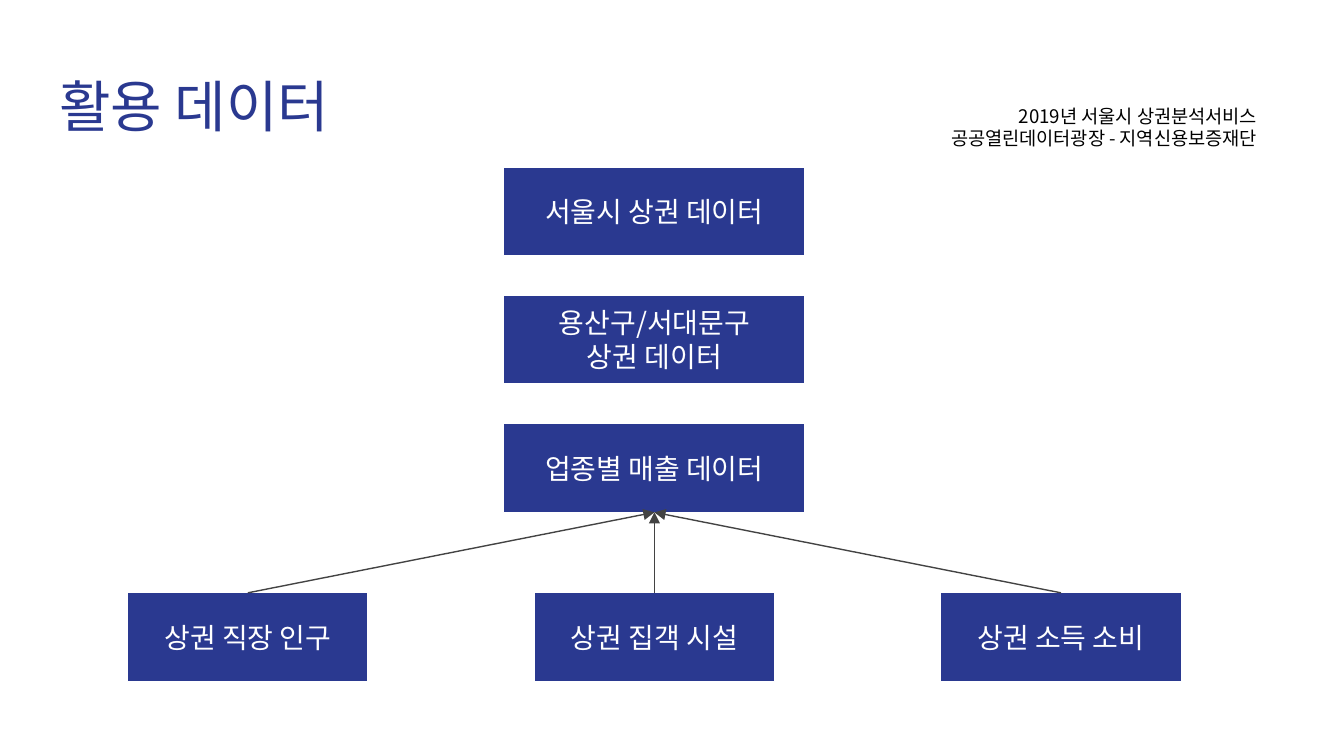
from dataclasses import dataclass

from pptx import Presentation
from pptx.dml.color import RGBColor
from pptx.enum.shapes import MSO_CONNECTOR, MSO_SHAPE
from pptx.enum.text import MSO_ANCHOR, MSO_AUTO_SIZE, PP_ALIGN
from pptx.oxml.ns import qn
from pptx.shapes.autoshape import Shape
from pptx.slide import Slide
from pptx.text.text import TextFrame
from pptx.util import Pt
from lxml.etree import SubElement

FONT = "Noto Sans CJK KR"
COLORS = {"navy": "2A3990", "white": "FFFFFF", "arrow": "434343", "black": "000000"}

# Layout in points: a centred column above an evenly spaced row
CENTER_X = 350.6
BOX_HEIGHT = 47.5
COLUMN_TOP, COLUMN_WIDTH, COLUMN_PITCH = 89.4, 161.4, 68.8
ROW_TOP, ROW_WIDTH, ROW_PITCH = 317.6, 128.9, 217.8


@dataclass(frozen=True)
class DataBox:
    text: str
    center_x: float
    top: float
    width: float


def color(name: str) -> RGBColor:
    return RGBColor.from_string(COLORS[name])


def format_text(frame: TextFrame, size: float, color_name: str, align: PP_ALIGN) -> None:
    frame.word_wrap = True
    frame.margin_left = frame.margin_right = Pt(7.2)
    frame.margin_top = frame.margin_bottom = Pt(7.2)
    for paragraph in frame.paragraphs:
        paragraph.alignment = align
        for run in paragraph.runs:
            run.font.size = Pt(size)
            run.font.name = FONT
            run.font.color.rgb = color(color_name)
            SubElement(run.font._element, qn("a:ea")).set("typeface", FONT)


def draw_box(slide: Slide, box: DataBox) -> Shape:
    shape = slide.shapes.add_shape(
        MSO_SHAPE.RECTANGLE, Pt(box.center_x - box.width / 2), Pt(box.top),
        Pt(box.width), Pt(BOX_HEIGHT))
    shape.shadow.inherit = False
    shape.fill.solid()
    shape.fill.fore_color.rgb = color("navy")
    shape.line.color.rgb = color("white")
    shape.line.width = Pt(0.75)
    shape.text_frame.text = box.text
    shape.text_frame.vertical_anchor = MSO_ANCHOR.MIDDLE
    format_text(shape.text_frame, 15, "white", PP_ALIGN.CENTER)
    return shape


def draw_arrow(slide: Slide, source: Shape, target: Shape) -> None:
    arrow = slide.shapes.add_connector(MSO_CONNECTOR.STRAIGHT, 0, 0, 0, 0)
    arrow.begin_connect(source, 0)
    arrow.end_connect(target, 2)
    arrow.line.color.rgb = color("arrow")
    arrow.line.width = Pt(0.75)
    SubElement(arrow.line._get_or_add_ln(), qn("a:tailEnd")).set("type", "triangle")
    SubElement(arrow._element.spPr, qn("a:effectLst"))


def main() -> None:
    presentation = Presentation()
    presentation.slide_width, presentation.slide_height = Pt(720), Pt(405)
    slide = presentation.slides.add_slide(presentation.slide_layouts[5])

    # Title
    title = slide.shapes.title
    title.left, title.top, title.width, title.height = Pt(24.5), Pt(32.4), Pt(671), Pt(47.5)
    title.text_frame.text = "활용 데이터"
    title.text_frame.vertical_anchor = MSO_ANCHOR.MIDDLE
    format_text(title.text_frame, 30, "navy", PP_ALIGN.LEFT)

    # Narrowing steps, top to bottom
    steps = ["서울시 상권 데이터", "용산구/서대문구\n상권 데이터", "업종별 매출 데이터"]
    step_boxes = [
        draw_box(slide, DataBox(text, CENTER_X, COLUMN_TOP + i * COLUMN_PITCH, COLUMN_WIDTH))
        for i, text in enumerate(steps)]
    sales = step_boxes[-1]

    # Supporting data, left to right, feeding the sales data
    supports = ["상권 직장 인구", "상권 집객 시설", "상권 소득 소비"]
    support_boxes = [
        draw_box(slide, DataBox(text, CENTER_X + (i - 1) * ROW_PITCH, ROW_TOP, ROW_WIDTH))
        for i, text in enumerate(supports)]
    for support in support_boxes:
        draw_arrow(slide, support, sales)

    # Data source
    credit = slide.shapes.add_textbox(Pt(449.3), Pt(49), Pt(231), Pt(38.9))
    credit.text_frame.text = "2019년 서울시 상권분석서비스\n공공열린데이터광장 - 지역신용보증재단"
    credit.text_frame.auto_size = MSO_AUTO_SIZE.SHAPE_TO_FIT_TEXT
    format_text(credit.text_frame, 10, "black", PP_ALIGN.RIGHT)

    presentation.save("out.pptx")


if __name__ == "__main__":
    main()
